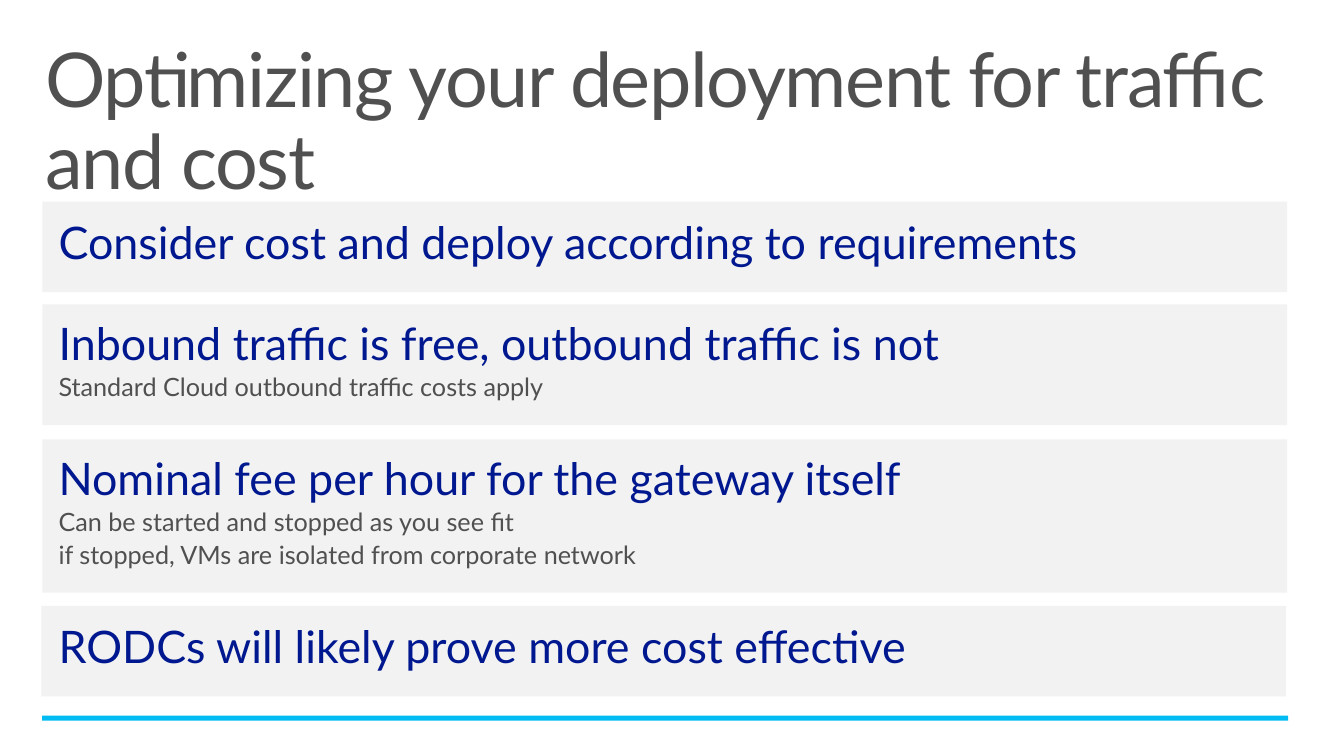
from pptx import Presentation
from pptx.dml.color import RGBColor
from pptx.enum.shapes import MSO_SHAPE as SHAPE
from pptx.enum.text import MSO_ANCHOR as ANCHOR, PP_ALIGN as ALIGN
from pptx.util import Pt

HEADING, BODY, PANEL, ACCENT = "00188F", "505050", "F2F2F2", "00BCF2"


def style(p, size, color):
    p.alignment = ALIGN.LEFT
    p.line_spacing = 0.9
    p.font.name = "Lato"
    p.font.size = Pt(size)
    p.font.color.rgb = RGBColor.from_string(color)


def add_bar(left, top, width, height, color):
    sp = s.shapes.add_shape(SHAPE.RECTANGLE, Pt(left), Pt(top), Pt(width), Pt(height))
    sp.shadow.inherit = False
    sp.fill.solid()
    sp.fill.fore_color.rgb = RGBColor.from_string(color)
    sp.line.fill.background()


prs = Presentation()
prs.slide_width, prs.slide_height = Pt(960), Pt(540)
s = prs.slides.add_slide(prs.slide_layouts[5])

# Title
title = s.shapes.title
title.left, title.top, title.width, title.height = Pt(20.9), Pt(23), Pt(917.3), Pt(70.6)
tf = title.text_frame
tf.word_wrap = True
tf.vertical_anchor = ANCHOR.TOP
tf.margin_left = tf.margin_right = Pt(11.5)
tf.margin_top = tf.margin_bottom = Pt(7.2)
p = tf.paragraphs[0]
r = p.add_run()
r.text = "Optimizing your deployment for traffic and cost"
r._r.get_or_add_rPr().set("spc", "-100")
style(p, 54, BODY)

# Panels: left, top, height, text top, text height, heading and details
panels = [
    (30.2, 144, 64.8, 157.7, 34.6,
     ["Consider cost and deploy according to requirements"]),
    (30.2, 217.4, 86.4, 229.7, 82.8,
     ["Inbound traffic is free, outbound traffic is not",
      "Standard Cloud outbound traffic costs apply"]),
    (30.2, 313.9, 109.4, 326.2, 106.6,
     ["Nominal fee per hour for the gateway itself",
      "Can be started and stopped as you see fit",
      "if stopped, VMs are isolated from corporate network"]),
    (29.5, 432.7, 64.8, 446.4, 34.6,
     ["RODCs will likely prove more cost effective"]),
]
for left, top, height, text_top, text_height, lines in panels:
    add_bar(left, top, 889.2, height, PANEL)
    box = s.shapes.add_textbox(Pt(41.8), Pt(text_top), Pt(877.7), Pt(text_height))
    tf = box.text_frame
    tf.word_wrap = True
    tf.margin_left = tf.margin_right = tf.margin_top = tf.margin_bottom = 0
    for i, line in enumerate(lines):
        p = tf.add_paragraph() if i else tf.paragraphs[0]
        p.text = line
        if i:
            style(p, 18, BODY)
            p.space_before = Pt(3.6)
        else:
            style(p, 32, HEADING)

add_bar(30.2, 511.2, 889.9, 3.6, ACCENT)

prs.save("out.pptx")
